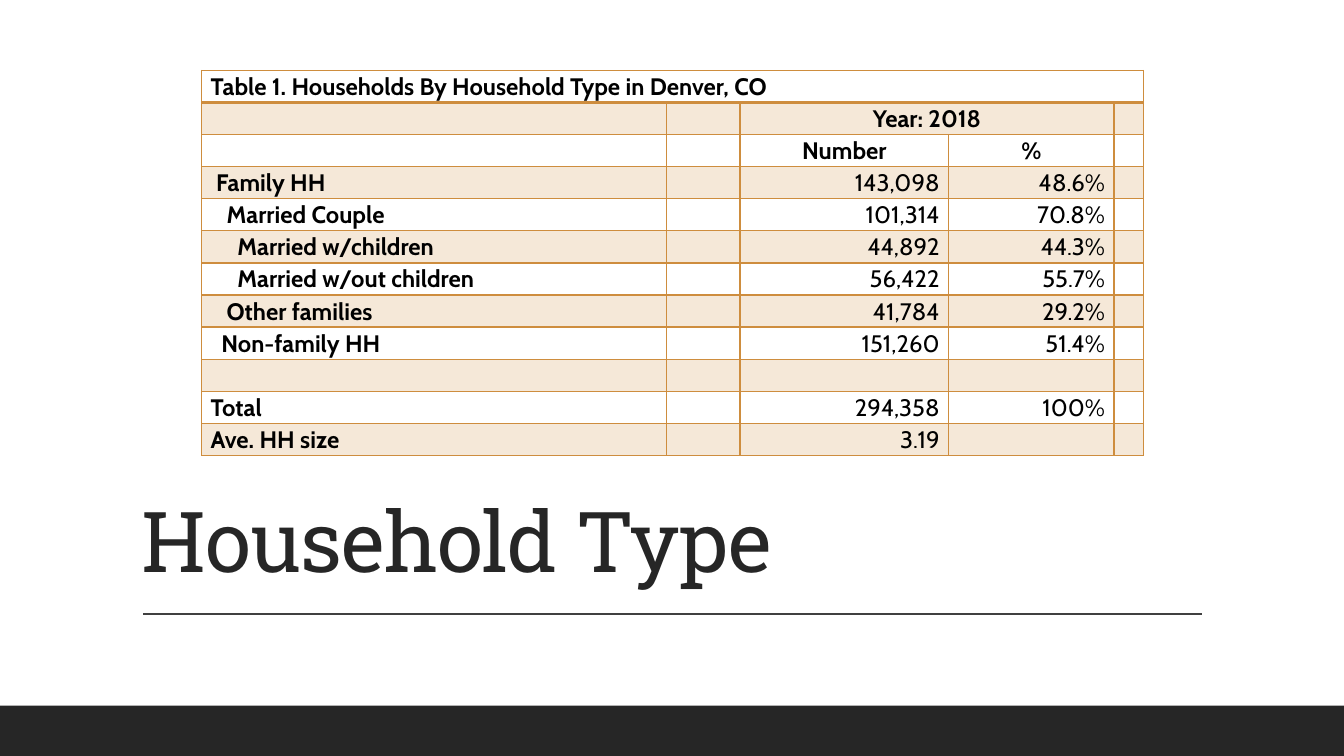
from lxml.etree import SubElement
from pptx import Presentation
from pptx.dml.color import RGBColor
from pptx.enum.shapes import MSO_CONNECTOR, MSO_SHAPE
from pptx.enum.text import MSO_ANCHOR, MSO_AUTO_SIZE, PP_ALIGN
from pptx.oxml.ns import qn
from pptx.util import Inches, Pt

WHITE = RGBColor(0xFF, 0xFF, 0xFF)
BLACK = RGBColor(0, 0, 0)
CHARCOAL = RGBColor(0x26, 0x26, 0x26)
RULE_GRAY = RGBColor(0x40, 0x40, 0x40)
OCHRE = RGBColor(0xCE, 0x8D, 0x3E)
BAND_OPACITY = 20
INDENT_STEP = 0.053
COLUMN_WIDTHS = [4.61, 0.73, 2.07, 1.64, 0.29]
HOUSEHOLDS = [
    ("Family HH", 1, "143,098", "48.6%"),
    ("Married Couple", 3, "101,314", "70.8%"),
    ("Married w/children", 5, "44,892", "44.3%"),
    ("Married w/out children", 5, "56,422", "55.7%"),
    ("Other families", 3, "41,784", "29.2%"),
    ("Non-family HH", 2, "151,260", "51.4%"),
    ("", 0, "", ""),
    ("Total", 0, "294,358", "100%"),
    ("Ave. HH size", 0, "3.19", ""),
]


def write_text(frame, text, size=17, font="Cabin", color=BLACK, bold=False,
               align=PP_ALIGN.LEFT, line_spacing=1.07, tracking=0):
    paragraph = frame.paragraphs[0]
    paragraph.alignment = align
    paragraph.line_spacing = line_spacing
    run = paragraph.add_run()
    run.text = text
    run.font.size = Pt(size)
    run.font.name = font
    run.font.bold = bold
    run.font.color.rgb = color
    if tracking:
        run.font._element.set("spc", str(round(tracking * 100)))


def set_borders(cell, **widths):
    properties = cell._tc.get_or_add_tcPr()
    for side in "LRTB":
        line = SubElement(properties, qn(f"a:ln{side}"), w=str(Pt(widths.get(side, 1))))
        fill = SubElement(line, qn("a:solidFill"))
        SubElement(fill, qn("a:srgbClr"), val=str(OCHRE))


def set_band(cell, banded):
    if not banded:
        cell.fill.background()
        return
    cell.fill.solid()
    cell.fill.fore_color.rgb = OCHRE
    color = cell._tc.tcPr.find(qn("a:solidFill")).find(qn("a:srgbClr"))
    SubElement(color, qn("a:alpha"), val=str(BAND_OPACITY * 1000))


def add_household_table(slide, left, top, width, height):
    row_count = len(HOUSEHOLDS) + 3
    shape = slide.shapes.add_table(row_count, len(COLUMN_WIDTHS), Inches(left),
                                   Inches(top), Inches(width), Inches(height))
    table = shape.table
    table.first_row = False
    table.horz_banding = False
    for column, column_width in zip(table.columns, COLUMN_WIDTHS):
        column.width = Inches(column_width)
    for row_index, row in enumerate(table.rows):
        row.height = Inches(height / row_count)
        for cell in row.cells:
            cell.margin_left = cell.margin_right = Inches(0.09)
            cell.margin_top = cell.margin_bottom = 0
            set_borders(cell, B=2 if row_index == 0 else 1, T=2 if row_index == 1 else 1)
            set_band(cell, row_index % 2 == 1)

    table.cell(0, 0).merge(table.cell(0, 4))
    table.cell(1, 2).merge(table.cell(1, 3))
    write_text(table.cell(0, 0).text_frame,
               "Table 1. Households By Household Type in Denver, CO", bold=True)
    for row, column, heading in [(1, 2, "Year: 2018"), (2, 2, "Number"), (2, 3, "%")]:
        write_text(table.cell(row, column).text_frame, heading, bold=True,
                   align=PP_ALIGN.CENTER)
    for row, (label, indent, number, percent) in enumerate(HOUSEHOLDS, start=3):
        if label:
            label_cell = table.cell(row, 0)
            label_cell.margin_left = Inches(0.09 + indent * INDENT_STEP)
            write_text(label_cell.text_frame, label, bold=True)
        for column, value in [(2, number), (3, percent)]:
            if value:
                write_text(table.cell(row, column).text_frame, value, align=PP_ALIGN.RIGHT)


def add_title(slide, left, top, width, height):
    title = slide.shapes.title
    title.left, title.top = Inches(left), Inches(top)
    title.width, title.height = Inches(width), Inches(height)
    frame = title.text_frame
    frame.word_wrap = True
    frame.auto_size = MSO_AUTO_SIZE.NONE
    frame.vertical_anchor = MSO_ANCHOR.BOTTOM
    write_text(frame, "Household Type", size=60, font="Roboto Slab", color=CHARCOAL,
               line_spacing=0.9, tracking=-0.5)


def add_rule(slide, left, top, width):
    rule = slide.shapes.add_connector(MSO_CONNECTOR.STRAIGHT, Inches(left), Inches(top),
                                      Inches(left + width), Inches(top))
    rule.line.color.rgb = RULE_GRAY
    rule.line.width = Pt(1)
    SubElement(rule._element.spPr, qn("a:effectLst"))


def add_footer_bar(slide, left, top, width, height):
    bar = slide.shapes.add_shape(MSO_SHAPE.RECTANGLE, Inches(left), Inches(top),
                                 Inches(width), Inches(height))
    bar.shadow.inherit = False
    bar.fill.solid()
    bar.fill.fore_color.rgb = CHARCOAL
    bar.line.fill.background()


def main():
    presentation = Presentation()
    presentation.slide_width = Inches(13.33)
    presentation.slide_height = Inches(7.5)
    slide = presentation.slides.add_slide(presentation.slide_layouts[5])
    slide.background.fill.solid()
    slide.background.fill.fore_color.rgb = WHITE
    add_title(slide, 1.3, 4.78, 10.74, 1.13)
    add_rule(slide, 1.42, 6.09, 10.5)
    add_footer_bar(slide, 0, 7, 13.33, 0.5)
    add_household_table(slide, 2, 0.7, 9.33, 3.82)
    presentation.save("out.pptx")


if __name__ == "__main__":
    main()
